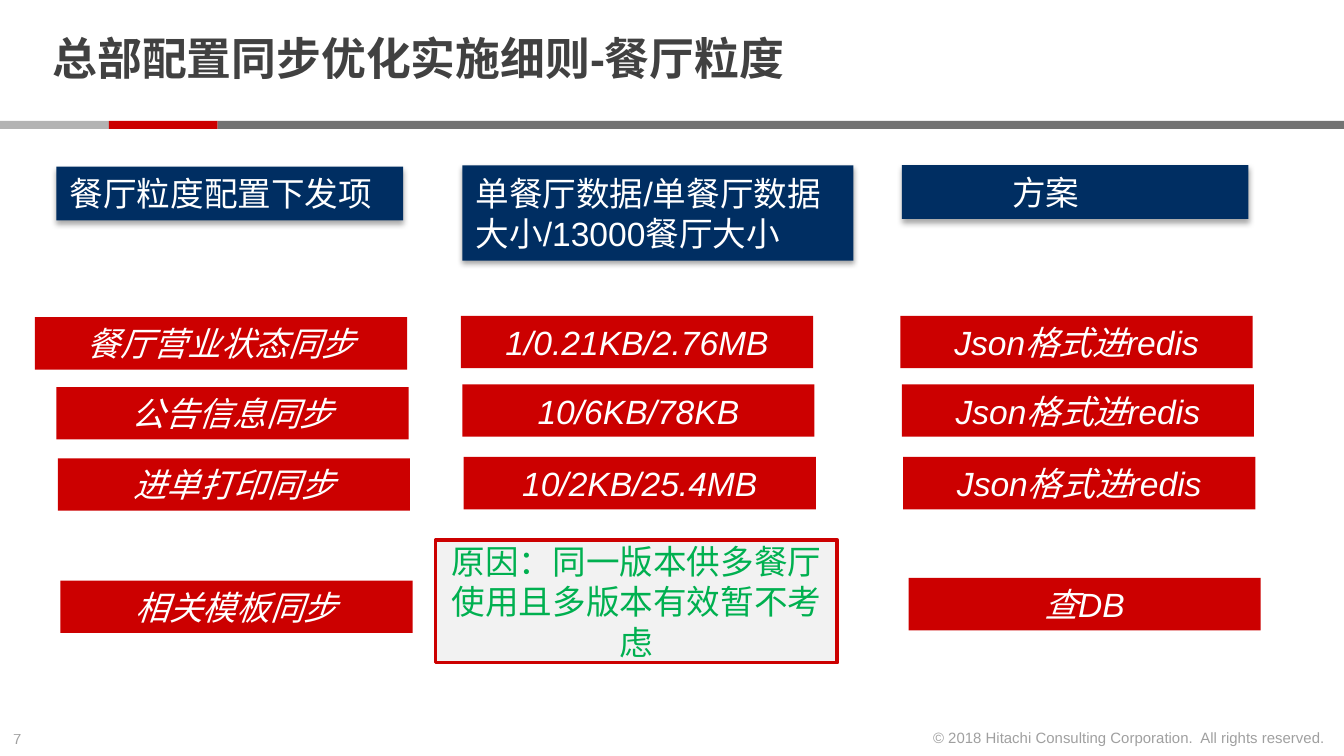
from dataclasses import dataclass
from typing import Optional

from lxml import etree
from pptx import Presentation
from pptx import util as u
from pptx.dml.color import RGBColor
from pptx.enum import shapes, text
from pptx.oxml import ns

WIDTH = 10
HEIGHT = WIDTH * 9 / 16
COLUMNS = (0.42, 3.44, 6.71)
ROWS = (2.35, 2.86, 3.4, 4.3)
ROW_SHIFT = (-0.01, 0, 0.01, 0.04)
HEADER_TOP = 1.23
ITEM_SIZE = (2.62, 0.39)
LABEL_DROP = 0.01
BAR_TOP, BAR_STEP, BAR_HEIGHT = 0.16 * HEIGHT, 0.081 * WIDTH, 0.06


@dataclass(frozen=True)
class Theme:
    font: str = "Arial"
    ink: str = "414141"
    white: str = "FFFFFF"
    navy: str = "002E62"
    red: str = "CC0000"
    green: str = "00B050"
    pale: str = "F2F2F2"
    light_gray: str = "B3B3B3"
    dark_gray: str = "737373"
    title_size: int = 24
    body_size: int = 18
    small_size: int = 8


@dataclass(frozen=True)
class Box:
    left: float
    top: float
    width: float
    height: float

    def emu(self) -> tuple:
        return tuple(u.Inches(v) for v in (self.left, self.top, self.width, self.height))


@dataclass(frozen=True)
class Header:
    column: int
    label: str
    width: float = 2.58
    height: float = 0.4
    drop: float = 0
    indent: float = 0.1


@dataclass(frozen=True)
class Item:
    column: int
    row: int
    label: str
    extend_left: float = 0
    nudge: float = 0
    drop: float = 0


THEME = Theme()
LEFT, CENTER, RIGHT = text.PP_ALIGN.LEFT, text.PP_ALIGN.CENTER, text.PP_ALIGN.RIGHT

HEADERS = (
    Header(0, "餐厅粒度配置下发项", drop=LABEL_DROP),
    Header(1, "单餐厅数据/单餐厅数据大小/13000餐厅大小", width=2.91, height=0.71),
    Header(2, "方案", indent=0.82),
)
ITEMS = (
    Item(0, 0, "餐厅营业状态同步", extend_left=0.15, drop=LABEL_DROP),
    Item(0, 1, "公告信息同步", drop=2 * LABEL_DROP),
    Item(0, 2, "进单打印同步", drop=LABEL_DROP),
    Item(0, 3, "相关模板同步", nudge=-0.01, drop=2 * LABEL_DROP),
    Item(1, 0, "1/0.21KB/2.76MB"),
    Item(1, 1, "10/6KB/78KB"),
    Item(1, 2, "10/2KB/25.4MB"),
    *(Item(2, row, "Json格式进redis") for row in range(3)),
    Item(2, 3, "查DB", nudge=0.01),
)


def write(s, label: str, size: int, color: str, align=LEFT, bold=False, italic=False) -> None:
    tf = s.text_frame
    tf.text = label
    p = tf.paragraphs[0]
    p.alignment = align
    r = p.runs[0]
    r.font.name = THEME.font
    r.font.size = u.Pt(size)
    r.font.bold = bold
    r.font.italic = italic
    r.font.color.rgb = RGBColor.from_string(color)


def add_rect(sp, box: Box, fill: str, line: Optional[str] = None):
    s = sp.add_shape(shapes.MSO_SHAPE.RECTANGLE, *box.emu())
    s.shadow.inherit = False
    s.fill.solid()
    s.fill.fore_color.rgb = RGBColor.from_string(fill)
    if line:
        s.line.color.rgb = RGBColor.from_string(line)
        s.line.width = u.Pt(2)
    else:
        s.line.fill.background()
    s.text_frame.vertical_anchor = text.MSO_ANCHOR.MIDDLE
    s.text_frame.word_wrap = True
    return s


def cast_shadow(s) -> None:
    effects = s.element.spPr.find(ns.qn("a:effectLst"))
    shadow = etree.SubElement(
        effects, ns.qn("a:outerShdw"), blurRad=str(u.Pt(3.1)), dist=str(u.Pt(1.8)),
        dir="5400000", algn="t", rotWithShape="0")
    color = etree.SubElement(shadow, ns.qn("a:srgbClr"), val="000000")
    etree.SubElement(color, ns.qn("a:alpha"), val="35000")


def add_header(sp, header: Header) -> None:
    box = Box(COLUMNS[header.column], HEADER_TOP + header.drop, header.width, header.height)
    s = add_rect(sp, box, THEME.navy)
    cast_shadow(s)
    s.text_frame.margin_left = u.Inches(header.indent)
    s.text_frame.auto_size = text.MSO_AUTO_SIZE.SHAPE_TO_FIT_TEXT
    write(s, header.label, THEME.body_size, THEME.white)


def add_item(sp, item: Item) -> None:
    width, height = ITEM_SIZE
    left = COLUMNS[item.column] + ROW_SHIFT[item.row] + item.nudge - item.extend_left
    top = ROWS[item.row] + item.drop
    s = add_rect(sp, Box(left, top, width + item.extend_left, height), THEME.red)
    write(s, item.label, THEME.body_size, THEME.white, CENTER, italic=True)


def add_footer(sp, box: Box, label: str, align=LEFT) -> None:
    s = sp.add_textbox(*box.emu())
    s.text_frame.word_wrap = False
    write(s, label, THEME.small_size, THEME.ink, align)
    color = next(s.element.iter(ns.qn("a:srgbClr")))
    etree.SubElement(color, ns.qn("a:alpha"), val="50000")


def add_title(s, label: str) -> None:
    s.left, s.top, s.width, s.height = Box(0.29, 0.06, 7.71, 0.8).emu()
    tf = s.text_frame
    tf.margin_top = tf.margin_bottom = 0
    tf.vertical_anchor = text.MSO_ANCHOR.MIDDLE
    tf.word_wrap = True
    tf.auto_size = text.MSO_AUTO_SIZE.NONE
    write(s, label, THEME.title_size, THEME.ink, bold=True)
    tf.paragraphs[0].line_spacing = 0.85


def main() -> None:
    prs = Presentation()
    prs.slide_width, prs.slide_height = u.Inches(WIDTH), u.Inches(HEIGHT)
    slide = prs.slides.add_slide(prs.slide_layouts[5])
    sp = slide.shapes
    add_title(sp.title, "总部配置同步优化实施细则-餐厅粒度")

    bars = ((0, 1, THEME.light_gray), (1, 2, THEME.red), (2, WIDTH / BAR_STEP, THEME.dark_gray))
    for start, end, color in bars:
        add_rect(sp, Box(start * BAR_STEP, BAR_TOP, (end - start) * BAR_STEP, BAR_HEIGHT), color)
    add_footer(sp, Box(0, 5.38, 0.34, 0.24), "7")
    add_footer(sp, Box(6.8, 5.37, 3.16, 0.24),
               "© 2018 Hitachi Consulting Corporation.\u00a0 All rights reserved.", RIGHT)

    for header in HEADERS:
        add_header(sp, header)
    for item in ITEMS:
        add_item(sp, item)
    reason = add_rect(sp, Box(3.24, 4.02, 2.99, 0.91), THEME.pale, THEME.red)
    write(reason, "原因：同一版本供多餐厅使用且多版本有效暂不考虑",
          THEME.body_size, THEME.green, CENTER)
    prs.save("out.pptx")


if __name__ == "__main__":
    main()
